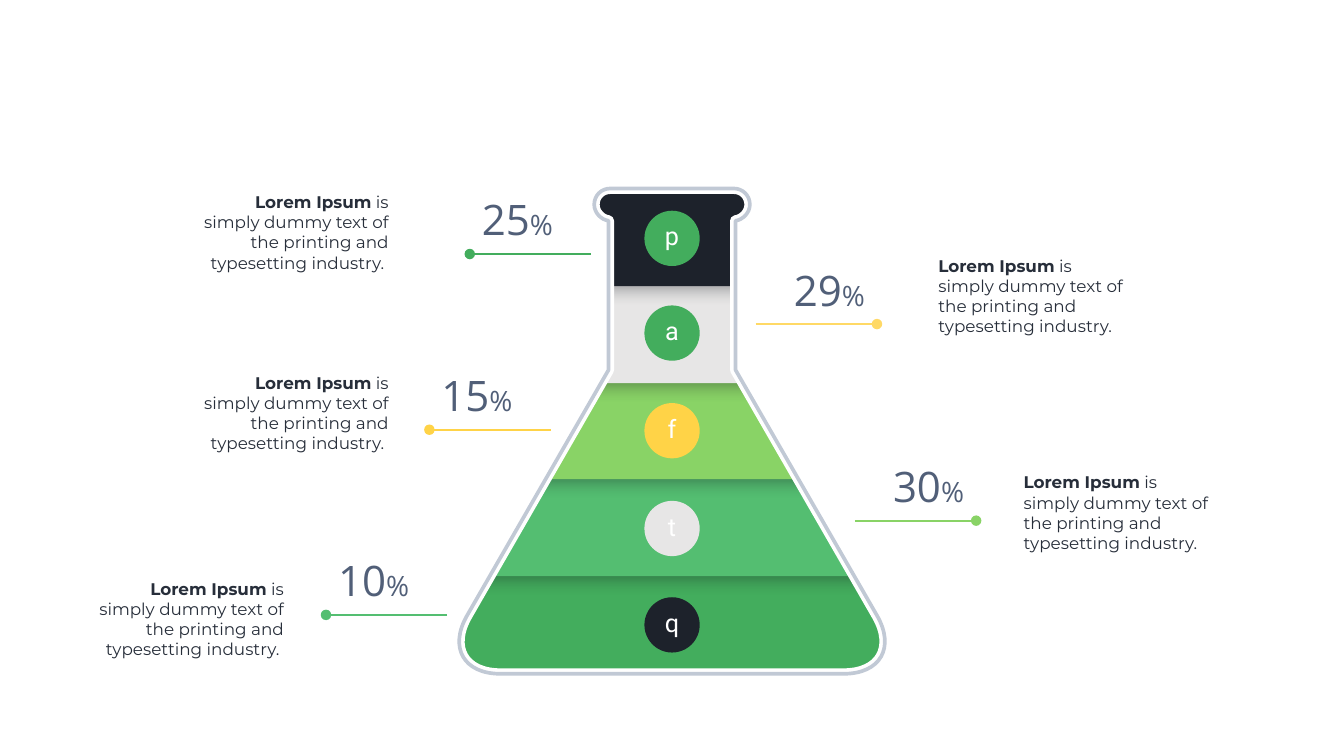
from dataclasses import dataclass

from lxml import etree
from pptx import Presentation, util as u
from pptx.dml import color as c
from pptx.enum import shapes as s, text as t
from pptx.oxml import ns

Pt = u.Pt
CENTRE = 960.2
FLASK_TOP = 269.3
BAND_HEIGHT = 139.7
BADGE_SIZE = 79
LINE_LENGTH, VALUE_WIDTH, VALUE_HEIGHT = 173.2, 120.2, 79.9
DOT_GAP, VALUE_RISE = 7.9, 89.8


@dataclass
class Layer:
    letter: str
    band_color: str
    band_top: float
    badge_color: str
    badge_top: float


@dataclass
class Callout:
    side: int  # -1 left of the flask, 1 right of it
    dot_x: float
    line_y: float
    value: str
    color: str
    text_left: float
    text_top: float


LAYERS = [
    Layer("p", "1D222B", 269.3, "43AD5D", 301),
    Layer("a", "E7E6E6", 407.5, "43AD5D", 436.3),
    Layer("f", "89D366", 545, "FFD347", 575.8),
    Layer("t", "54BE71", 683.3, "E7E6E6", 715.5),
    Layer("q", "43AD5D", 823, "1D222B", 853.2),
]
CALLOUTS = [
    Callout(-1, 671.2, 362.9, "25", "43AD5D", 283.7, 270.5),
    Callout(-1, 613.5, 613.9, "15", "FFD347", 283.7, 528.5),
    Callout(-1, 465.8, 878.4, "10", "54BE71", 133.9, 823),
    Callout(1, 1253, 463, "29", "FFD966", 1333.6, 361.4),
    Callout(1, 1394.7, 743.8, "30", "89D366", 1455.4, 670.8),
]
BODY = " is simply dummy text of the printing and typesetting industry."

# Right half of the flask: offset from the centre line, height on the slide
HALF_FLASK = [
    (88.2, FLASK_TOP), (101.2, FLASK_TOP), (111.2, 279.4), (111.2, 292.3),
    (111.2, 303.8), (101.5, 313.9), (90.7, 315.4),
    (90.7, 528.5), (292.7, 879.1),
    (319.3, 925.2), (297.7, 962.6), (245.2, 962.6),
]
FLASK = ([(CENTRE + x, y) for x, y in HALF_FLASK]
         + [(CENTRE - x, y) for x, y in reversed(HALF_FLASK)])
# First control point of each curve, on the right half and mirrored
RIGHT_CURVES = [1, 4, 9]
CURVES = RIGHT_CURVES + [len(FLASK) - 2 - start for start in RIGHT_CURVES]
SURROUND = [(553, 210.2), (553, 1206.7), (1367.3, 1206.7), (1367.3, 210.2)]


def rgb(value: str) -> c.RGBColor:
    return c.RGBColor.from_string(value)


def style(shape, fill: str = "", line: str = "", width: float = 0) -> None:
    shape.shadow.inherit = False
    if fill:
        shape.fill.solid()
        shape.fill.fore_color.rgb = rgb(fill)
    else:
        shape.fill.background()
    if line:
        shape.line.color.rgb = rgb(line)
        shape.line.width = Pt(width)
    else:
        shape.line.fill.background()


def add_outline(slide, contours: list, **look) -> None:
    """Draw closed contours; the first one is the flask with its curves."""
    first, *others = [[(Pt(x), Pt(y)) for x, y in contour] for contour in contours]
    builder = slide.shapes.build_freeform(*first[0])
    builder.add_line_segments(first[1:], close=True)
    for contour in others:
        builder.move_to(*contour[0])
        builder.add_line_segments(contour[1:], close=True)
    shape = builder.convert_to_shape()
    style(shape, **look)

    # Join two control points and an end point into one curve
    steps = list(shape._element.spPr.find(".//" + ns.qn("a:path")))
    for start in CURVES:
        curve = etree.Element(ns.qn("a:cubicBezTo"))
        steps[start].addprevious(curve)
        for step in steps[start:start + 3]:
            curve.append(step[0])
            step.getparent().remove(step)


def add_preset(slide, kind, left, top, width, height, fill: str):
    shape = slide.shapes.add_shape(kind, Pt(left), Pt(top), Pt(width), Pt(height))
    style(shape, fill)
    return shape


def add_soft_shadow(shape) -> None:
    effects = shape._element.spPr.find(ns.qn("a:effectLst"))
    shadow = etree.SubElement(effects, ns.qn("a:outerShdw"), blurRad=str(Pt(26)),
                              dist=str(Pt(3)), dir="5400000", algn="t", rotWithShape="0")
    tint = etree.SubElement(shadow, ns.qn("a:srgbClr"), val="14171D")
    etree.SubElement(tint, ns.qn("a:alpha"), val="40000")


def write(shape, align, runs: list, color: str, **frame_format) -> None:
    """Each run is a text with a dict of font values."""
    frame = shape.text_frame
    for name, value in frame_format.items():
        setattr(frame, name, value)
    paragraph = frame.paragraphs[0]
    paragraph.alignment = align
    for words, font_format in runs:
        run = paragraph.add_run()
        run.text = words
        run.font.color.rgb = rgb(color)
        for name, value in font_format.items():
            setattr(run.font, name, value)


def add_text(slide, left, top, width, height, *content, **frame_format) -> None:
    box = slide.shapes.add_textbox(Pt(left), Pt(top), Pt(width), Pt(height))
    write(box, *content, **frame_format)


def add_badge(slide, layer: Layer) -> None:
    badge = add_preset(slide, s.MSO_SHAPE.OVAL, CENTRE - BADGE_SIZE / 2,
                       layer.badge_top, BADGE_SIZE, BADGE_SIZE, layer.badge_color)
    write(badge, t.PP_ALIGN.CENTER, [(layer.letter, {"size": Pt(36), "name": "Roboto"})],
          "FFFFFF", vertical_anchor=t.MSO_ANCHOR.MIDDLE, margin_left=Pt(7.2),
          margin_right=Pt(7.2), margin_top=0, margin_bottom=Pt(7.2))


def add_callout(slide, callout: Callout) -> None:
    # Leader line with a dot at its outer end
    start_x = callout.dot_x - callout.side * LINE_LENGTH
    leader = slide.shapes.add_connector(s.MSO_CONNECTOR.STRAIGHT, Pt(start_x),
                                        Pt(callout.line_y), Pt(callout.dot_x),
                                        Pt(callout.line_y))
    leader.line.color.rgb = rgb(callout.color)
    leader.line.width = Pt(3)
    etree.SubElement(leader.line._get_or_add_ln(), ns.qn("a:tailEnd"),
                     type="oval", w="lg", len="lg")
    etree.SubElement(leader._element.spPr, ns.qn("a:effectLst"))

    # Percentage above the line
    left_side = callout.side < 0
    value_left = callout.dot_x + (DOT_GAP if left_side else -DOT_GAP - VALUE_WIDTH)
    add_text(slide, value_left, callout.line_y - VALUE_RISE, VALUE_WIDTH, VALUE_HEIGHT,
             t.PP_ALIGN.CENTER,
             [(callout.value, {"size": Pt(60), "name": "Open Sans"}),
              ("%", {"size": Pt(40), "name": "Open Sans"})],
             "515F78", word_wrap=False, vertical_anchor=t.MSO_ANCHOR.MIDDLE)

    # Description, aligned towards the flask
    font = {"size": Pt(24), "name": "Montserrat"}
    add_text(slide, callout.text_left, callout.text_top, 278.6, 123.8,
             t.PP_ALIGN.RIGHT if left_side else t.PP_ALIGN.LEFT,
             [("Lorem Ipsum", {**font, "bold": True}),
              (BODY + (" " if left_side else ""), {**font, "bold": False})],
             "272E3A", word_wrap=True)


def main() -> None:
    presentation = Presentation()
    presentation.slide_width, presentation.slide_height = Pt(1920.24), Pt(1080)
    slide = presentation.slides.add_slide(presentation.slide_layouts[6])

    # Colour bands, lowest first so that each casts its shadow on the next
    for layer in reversed(LAYERS):
        band = add_preset(slide, s.MSO_SHAPE.RECTANGLE, 640.8, layer.band_top,
                          640.8, BAND_HEIGHT, layer.band_color)
        add_soft_shadow(band)

    # Flask: white rim, surround that hides the band ends, grey glass edge
    add_outline(slide, [FLASK], line="FFFFFF", width=15.63)
    add_outline(slide, [FLASK, SURROUND], fill="FFFFFF")
    add_outline(slide, [FLASK], line="C1C9D5", width=5.25)

    for layer in LAYERS:
        add_badge(slide, layer)
    for callout in CALLOUTS:
        add_callout(slide, callout)

    presentation.save("out.pptx")


if __name__ == "__main__":
    main()
